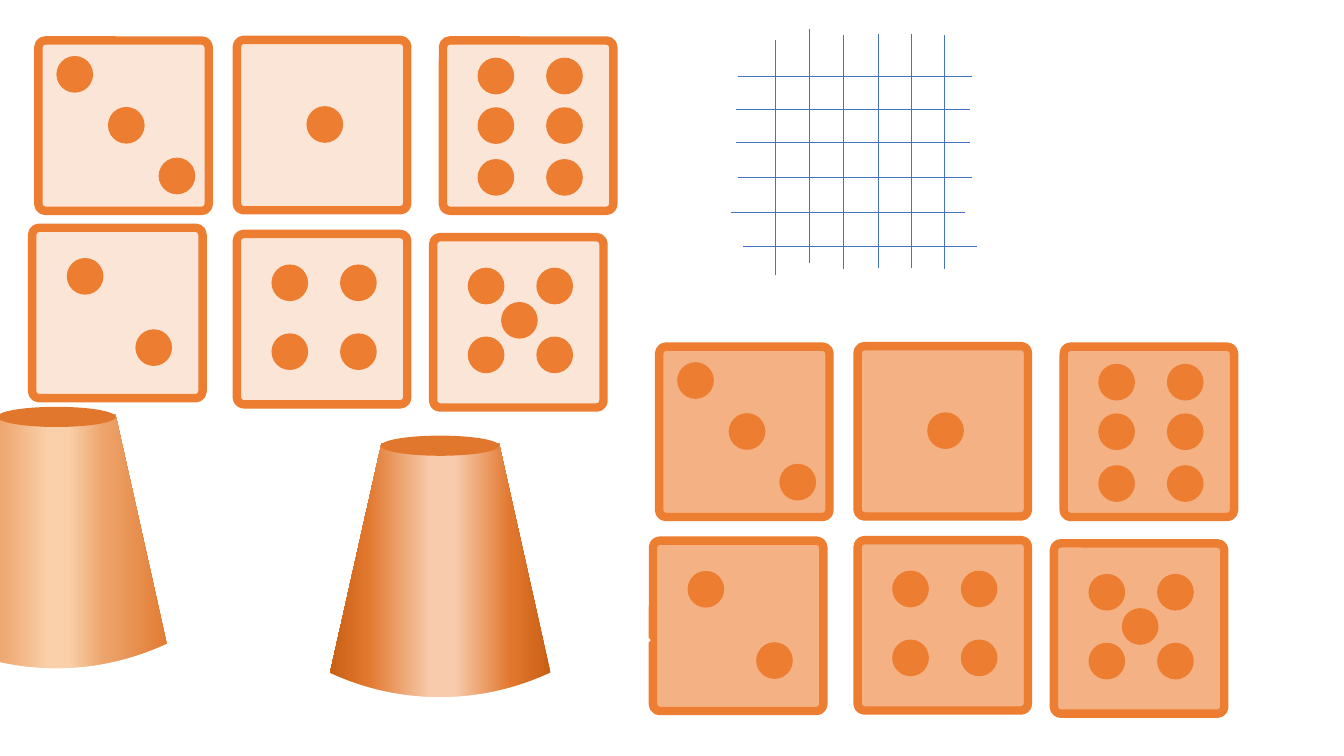
from lxml import etree
from pptx import Presentation
from pptx.dml.color import RGBColor
from pptx.enum.shapes import MSO_CONNECTOR, MSO_SHAPE
from pptx.oxml.ns import qn
from pptx.util import Pt

ROUND = MSO_SHAPE.ROUNDED_RECTANGLE
OVAL = MSO_SHAPE.OVAL
CONE = MSO_SHAPE.TRAPEZOID
ARC = MSO_SHAPE.ARC
LINE = MSO_CONNECTOR.STRAIGHT

ORANGE = RGBColor(0xED, 0x7D, 0x31)
PALE = RGBColor(0xFB, 0xE5, 0xD6)
TAN = RGBColor(0xF4, 0xB1, 0x83)
RUST = RGBColor(0xE1, 0x77, 0x2D)
BROWN = RGBColor(0xC5, 0x5A, 0x11)
PEACH = RGBColor(0xF8, 0xCB, 0xAD)
AMBER = RGBColor(0xED, 0xA4, 0x6C)
CREAM = RGBColor(0xF9, 0xD0, 0xA9)
SAND = RGBColor(0xF0, 0xAD, 0x79)
WHITE = RGBColor(0xFF, 0xFF, 0xFF)
BLUE = RGBColor(0x44, 0x72, 0xC4)

DIE, PIP = 121.7, 25.2
NEAR, FAR = 25.2, 74.2
FOUR = [(x, y) for x in (NEAR, FAR) for y in (22.3, 71.5)]
PIPS = {
    1: [(50.2, 47.8)],
    2: [(NEAR, 22.1), (FAR, 73)],
    3: [(13.4, 11.6), (50.2, 48), (86.4, 84.2)],
    4: FOUR,
    5: FOUR + [(49, 46.8)],
    6: [(x, y) for x in (NEAR, FAR) for y in (12.8, 48.2, 85.2)],
}
SEATS = {3: (0, 0), 1: (141.8, -0.4), 6: (289, 0),
         2: (-4.4, 133.8), 4: (141.8, 138.2), 5: (282, 140.5)}

ROWS = [(5, 13.5), (4, 37.5), (4, 61), (5, 86), (0.5, 110.5), (9, 135)]
COLS = [(31.7, 8.5), (56.5, 0), (80.8, 4.8), (105.7, 3.7), (129.2, 3.7),
        (152.7, 4.8)]
REACH = 167.2

SOFT = [(0, RUST), (30, AMBER), (45, CREAM), (54, CREAM), (70, SAND),
        (100, RUST)]
DEEP = [(0, BROWN), (20, RUST), (44, PEACH), (54, PEACH), (81, RUST),
        (100, BROWN)]


def add(group, kind, x, y, w, h, fill=None, line=None, width=1):
    """Add one preset shape with a plain fill and outline."""
    shape = group.shapes.add_shape(kind, Pt(x), Pt(y), Pt(w), Pt(h))
    shape.shadow.inherit = False
    if fill is None:
        shape.fill.background()
    else:
        shape.fill.solid()
        shape.fill.fore_color.rgb = fill
    if line is None:
        shape.line.fill.background()
    else:
        shape.line.color.rgb = line
        shape.line.width = Pt(width)
    return shape


def blend(shape, stops):
    """Fill a shape with a sideways gradient of (percent, colour) stops."""
    shape.fill.gradient()
    shape.fill.gradient_angle = 180
    bands = shape.element.spPr.find(qn("a:gradFill")).find(qn("a:gsLst"))
    bands.clear()
    for part, hue in stops:
        stop = etree.SubElement(bands, qn("a:gs"), pos=str(part * 1000))
        etree.SubElement(stop, qn("a:srgbClr"), val=str(hue))


def draw_die(slide, x, y, count, fill):
    """Draw one die face with its pips."""
    group = slide.shapes.add_group_shape()
    face = add(group, ROUND, x, y, DIE, DIE, fill, ORANGE, 6)
    face.adjustments[0] = 0.04
    for dx, dy in PIPS[count]:
        add(group, OVAL, x + dx, y + dy, PIP, PIP, ORANGE, ORANGE)


def draw_dice(slide, x, y, fill, drop=0):
    """Draw six dice, lowering the two by drop."""
    for count, (dx, dy) in SEATS.items():
        fall = drop if count == 2 else 0
        draw_die(slide, x + dx, y + dy + fall, count, fill)


def draw_rule(group, x, y, w, h):
    """Draw one thin line of the grid."""
    rule = group.shapes.add_connector(
        LINE, Pt(x), Pt(y), Pt(x + w), Pt(y + h))
    rule.line.color.rgb = BLUE
    rule.line.width = Pt(0.5)
    etree.SubElement(rule.element.spPr, qn("a:effectLst"))


def draw_grid(slide, x, y):
    """Draw the loose grid of crossing lines."""
    group = slide.shapes.add_group_shape()
    for dx, dy in ROWS:
        draw_rule(group, x + dx, y + 20.5 + dy, REACH, 0)
    for dx, dy in COLS:
        draw_rule(group, x + dx, y + dy, 0, REACH)


def draw_cup(slide, x, y, stops):
    """Draw an upturned cup whose base is cut by a white arc."""
    group = slide.shapes.add_group_shape()
    side = add(group, CONE, x, y + 5.4, 167.8, 187.2)
    side.adjustments[0] = 0.25
    blend(side, stops)
    add(group, OVAL, x + 41.4, y, 84.6, 14.4, RUST)
    curve = add(group, ARC, x - 114.8, y - 198.4, 396.7, 396.7,
                line=WHITE, width=23)
    curve.rotation = 134.1


def main():
    """Build the slide and save it."""
    deck = Presentation()
    deck.slide_width, deck.slide_height = Pt(960), Pt(540)
    slide = deck.slides.add_slide(deck.slide_layouts[6])
    draw_dice(slide, 27.4, 28.9, PALE)
    draw_grid(slide, 521.8, 20.4)
    draw_cup(slide, -43.4, 290.6, SOFT)
    draw_dice(slide, 470.8, 247.6, TAN, 4.8)
    draw_cup(slide, 230.6, 311.2, DEEP)
    deck.save("out.pptx")


main()
